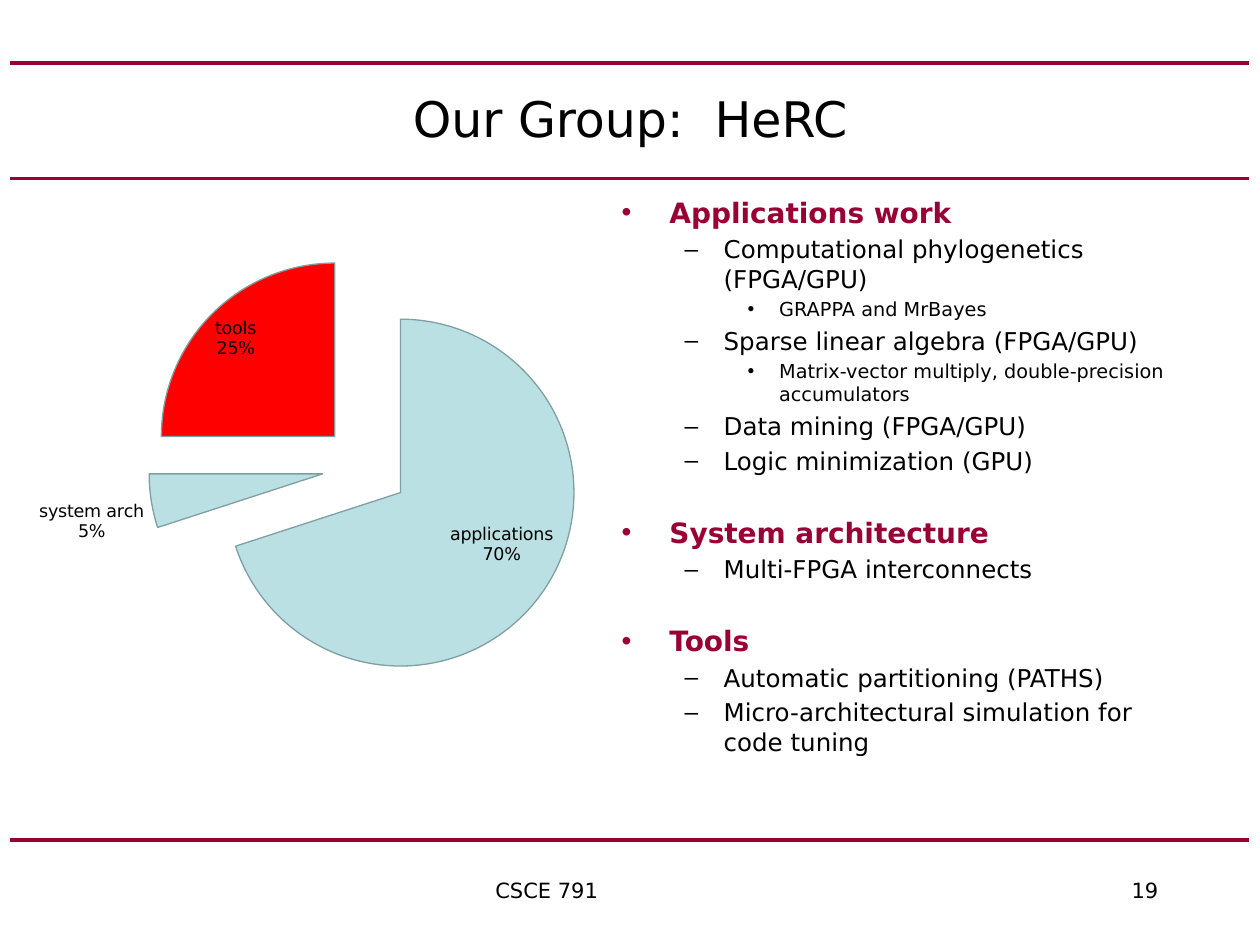
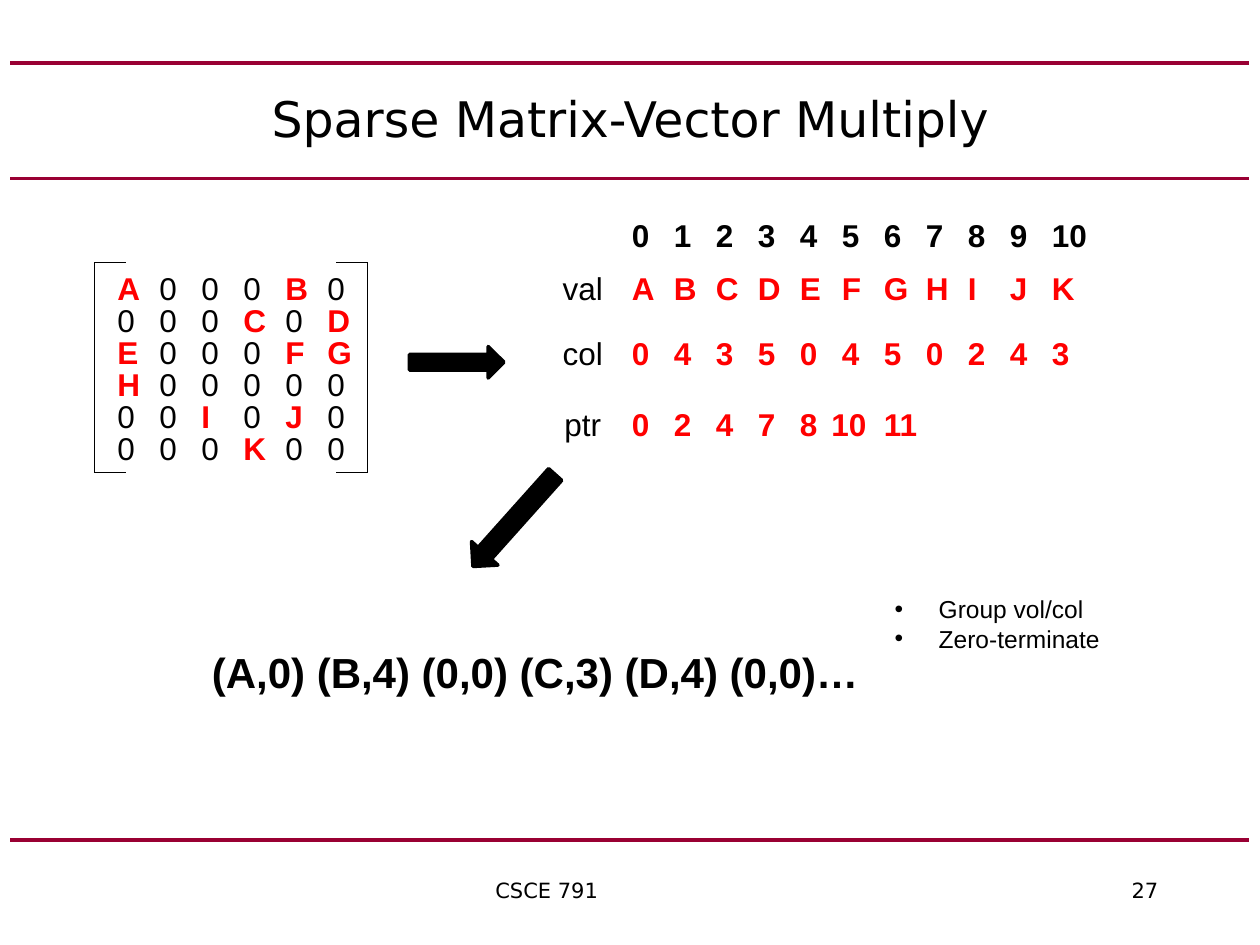
"""Build two slides: the group's work as a pie chart, and a sparse matrix in compressed form."""
import dataclasses

import lxml.etree
import pptx
import pptx.chart.data
import pptx.dml.color
import pptx.enum.chart
import pptx.enum.shapes
import pptx.enum.text
import pptx.oxml.ns
import pptx.util


@dataclasses.dataclass(frozen=True)
class Theme:
    crimson: str = "990033"
    black: str = "000000"
    red: str = "FF0000"
    pale_blue: str = "BBE0E3"
    slice_edge: str = "7F9FA1"
    main_font: str = "DejaVu Sans"
    matrix_font: str = "Arial"
    title_size: int = 28
    formula_size: int = 24
    matrix_size: int = 18
    heading_size: int = 16
    item_size: int = 14
    footer_size: int = 12
    detail_size: int = 11
    chart_size: int = 10


theme = Theme()
presentation = pptx.Presentation()
presentation.slide_width = pptx.util.Inches(10)
presentation.slide_height = pptx.util.Inches(7.5)
COLUMN = presentation.slide_width / 30
ROW = presentation.slide_height / 90


def grid(*lengths):
    """Turn alternating column and row counts into slide lengths."""
    return [round(length * (ROW if index % 2 else COLUMN)) for index, length in enumerate(lengths)]


def write(paragraph, text, size, color=theme.black, font=theme.main_font, bold=False):
    """Add one formatted run to a paragraph."""
    run = paragraph.add_run()
    run.text = text
    run.font.size = pptx.util.Pt(size)
    run.font.name = font
    run.font.bold = bold
    run.font.color.rgb = pptx.dml.color.RGBColor.from_string(color)


bands = [(0.25, row, 29.75, row, theme.crimson, 2.25) for row in (6, 17, 80)]
brackets = []
for spine, tip in ((2.25, 3), (8.75, 8)):
    for line in ((spine, 25, tip, 25), (spine, 25, spine, 45), (spine, 45, tip, 45)):
        brackets.append((*line, theme.black, 0.75))

slides = []
for title, number, lines in (
    ("Our Group:  HeRC", 19, bands),
    ("Sparse Matrix-Vector Multiply", 27, bands + brackets),
):
    slide = presentation.slides.add_slide(presentation.slide_layouts[1])
    slides.append(slide)
    heading = slide.shapes.title
    heading.left, heading.top, heading.width, heading.height = grid(1.5, 6, 27, 10.44)
    write(heading.text_frame.paragraphs[0], title, theme.title_size)

    for *ends, color, width in lines:
        connector = slide.shapes.add_connector(pptx.enum.shapes.MSO_CONNECTOR.STRAIGHT, *grid(*ends))
        connector.line.color.rgb = pptx.dml.color.RGBColor.from_string(color)
        connector.line.width = pptx.util.Pt(width)
        lxml.etree.SubElement(connector._element.spPr, pptx.oxml.ns.qn("a:effectLst"))

    footer = slide.shapes.add_textbox(*grid(8.5, 83, 21, 4))
    footer.text_frame.word_wrap = True
    paragraph = footer.text_frame.paragraphs[0]
    tabs = lxml.etree.SubElement(paragraph._p.get_or_add_pPr(), pptx.oxml.ns.qn("a:tabLst"))
    for inches in (1, 6.05):
        tab = lxml.etree.SubElement(tabs, pptx.oxml.ns.qn("a:tab"))
        tab.set("pos", str(pptx.util.Inches(inches)))
        tab.set("algn", "l")
    write(paragraph, f"\tCSCE 791\t{number}", theme.footer_size)

group_slide, matrix_slide = slides

topics = [
    (0, "Applications work"),
    (1, "Computational phylogenetics (FPGA/GPU)"),
    (2, "GRAPPA and MrBayes"),
    (1, "Sparse linear algebra (FPGA/GPU)"),
    (2, "Matrix-vector multiply, double-precision accumulators"),
    (1, "Data mining (FPGA/GPU)"),
    (1, "Logic minimization (GPU)"),
    (0, "System architecture"),
    (1, "Multi-FPGA interconnects"),
    (0, "Tools"),
    (1, "Automatic partitioning (PATHS)"),
    (1, "Micro-architectural simulation for code tuning"),
]
topic_levels = [
    (theme.heading_size, theme.crimson, True, 23, 0.38, -0.38),
    (theme.item_size, theme.black, False, 3, 0.81, -0.31),
    (theme.detail_size, theme.black, False, 2.5, 1.25, -0.25),
]
notes = [(0, "Group vol/col"), (0, "Zero-terminate")]
note_levels = [(theme.item_size, theme.black, False, 0, 0.35, -0.35)]

for slide, area, items, levels, font in (
    (group_slide, (14.5, 18, 14, 61), topics, topic_levels, theme.main_font),
    (matrix_slide, (21, 56, 5.75, 6.8), notes, note_levels, theme.matrix_font),
):
    body = slide.placeholders[1]
    body.left, body.top, body.width, body.height = grid(*area)
    frame = body.text_frame
    frame.auto_size = pptx.enum.text.MSO_AUTO_SIZE.NONE
    for index, (level, text) in enumerate(items):
        size, color, bold, gap, margin, indent = levels[level]
        paragraph = frame.add_paragraph() if index else frame.paragraphs[0]
        paragraph.level = level
        paragraph.space_before = pptx.util.Pt(gap if index else 0)
        properties = paragraph._p.get_or_add_pPr()
        properties.set("marL", str(pptx.util.Inches(margin)))
        properties.set("indent", str(pptx.util.Inches(indent)))
        write(paragraph, text, size, color, font, bold)

work_shares = pptx.chart.data.CategoryChartData()
work_shares.categories = ["applications", "system arch", "tools"]
work_shares.add_series("Series 1", (70, 5, 25))
chart = group_slide.shapes.add_chart(
    pptx.enum.chart.XL_CHART_TYPE.PIE, *grid(0, 22, 14.75, 45), work_shares
).chart
chart.has_legend = False
chart.has_title = False
chart.font.name = theme.main_font
chart.font.size = pptx.util.Pt(theme.chart_size)
chart.font.color.rgb = pptx.dml.color.RGBColor.from_string(theme.black)

plot = chart.plots[0]
plot.vary_by_categories = False
series = plot.series[0]
series.format.fill.solid()
series.format.fill.fore_color.rgb = pptx.dml.color.RGBColor.from_string(theme.pale_blue)
explosion = lxml.etree.Element(pptx.oxml.ns.qn("c:explosion"))
explosion.set("val", "25")
series._element.find(pptx.oxml.ns.qn("c:spPr")).addnext(explosion)
for index, color in enumerate((theme.pale_blue, theme.pale_blue, theme.red)):
    pie_slice = series.points[index].format
    pie_slice.fill.solid()
    pie_slice.fill.fore_color.rgb = pptx.dml.color.RGBColor.from_string(color)
    pie_slice.line.color.rgb = pptx.dml.color.RGBColor.from_string(theme.slice_edge)
    pie_slice.line.width = pptx.util.Pt(0.75)

plot.has_data_labels = True
labels = plot.data_labels
labels.show_value = False
labels.show_category_name = True
labels.show_percentage = True
labels.number_format = "0%"
labels.number_format_is_linked = False
labels.position = pptx.enum.chart.XL_LABEL_POSITION.BEST_FIT
separator = lxml.etree.Element(pptx.oxml.ns.qn("c:separator"))
separator.text = "\n"
labels._element.find(pptx.oxml.ns.qn("c:showPercent")).getparent().find(
    pptx.oxml.ns.qn("c:showBubbleSize")
).addnext(separator)

plot_area = chart._chartSpace.chart.plotArea
for layout in plot_area.findall(pptx.oxml.ns.qn("c:layout")):
    plot_area.remove(layout)
layout = lxml.etree.Element(pptx.oxml.ns.qn("c:layout"))
plot_area.insert(0, layout)
manual = lxml.etree.SubElement(layout, pptx.oxml.ns.qn("c:manualLayout"))
for name, value in (
    ("layoutTarget", "inner"), ("xMode", "edge"), ("yMode", "edge"),
    ("x", "0.24"), ("y", "0.04"), ("w", "0.7"), ("h", "0.92"),
):
    lxml.etree.SubElement(manual, pptx.oxml.ns.qn(f"c:{name}")).set("val", value)

LEFT = pptx.enum.text.PP_ALIGN.LEFT
CENTER = pptx.enum.text.PP_ALIGN.CENTER
texts = []
for row, letters in enumerate(("A000B0", "000C0D", "E000FG", "H00000", "00I0J0", "000K00")):
    for column, letter in enumerate(letters):
        nonzero = letter != "0"
        color = theme.red if nonzero else theme.black
        texts.append((2.5 + column, 25 + 3.05 * row, 1, letter, theme.matrix_size, color, nonzero, LEFT))

for name, top, values in (
    ("", 20, "0 1 2 3 4 5 6 7 8 9 10"),
    ("val", 25, "A B C D E F G H I J K"),
    ("col", 31.2, "0 4 3 5 0 4 5 0 2 4 3"),
    ("ptr", 38, "0 2 4 7 8 10 11"),
):
    if name:
        texts.append((12.5, top, 2.75, name, theme.matrix_size, theme.black, False, CENTER))
    color = theme.red if name else theme.black
    for column, value in enumerate(values.split()):
        shift = 0.25 if (name, value) == ("ptr", "10") else 0
        width = 1.5 if len(value) > 1 else 1
        texts.append((14.75 + column - shift, top, width, value, theme.matrix_size, color, True, LEFT))

texts.append((4.75, 61, 18.25, "(A,0) (B,4) (0,0) (C,3) (D,4) (0,0)…",
              theme.formula_size, theme.black, True, LEFT))

for left, top, width, text, size, color, bold, alignment in texts:
    label = matrix_slide.shapes.add_textbox(*grid(left, top, width, 4.8))
    label.text_frame.word_wrap = True
    paragraph = label.text_frame.paragraphs[0]
    paragraph.alignment = alignment
    write(paragraph, text, size, color, theme.matrix_font, bold)

for kind, area, rotation in (
    (pptx.enum.shapes.MSO_SHAPE.RIGHT_ARROW, (9.75, 33, 2.25, 3), 0),
    (pptx.enum.shapes.MSO_SHAPE.DOWN_ARROW, (11.82, 43.7, 0.84, 11.75), 41.8),
):
    arrow = matrix_slide.shapes.add_shape(kind, *grid(*area))
    arrow.rotation = rotation
    arrow.shadow.inherit = False
    arrow.fill.solid()
    arrow.fill.fore_color.rgb = pptx.dml.color.RGBColor.from_string(theme.black)
    arrow.line.color.rgb = pptx.dml.color.RGBColor.from_string(theme.black)
    arrow.line.width = pptx.util.Pt(2)

presentation.save("out.pptx")
